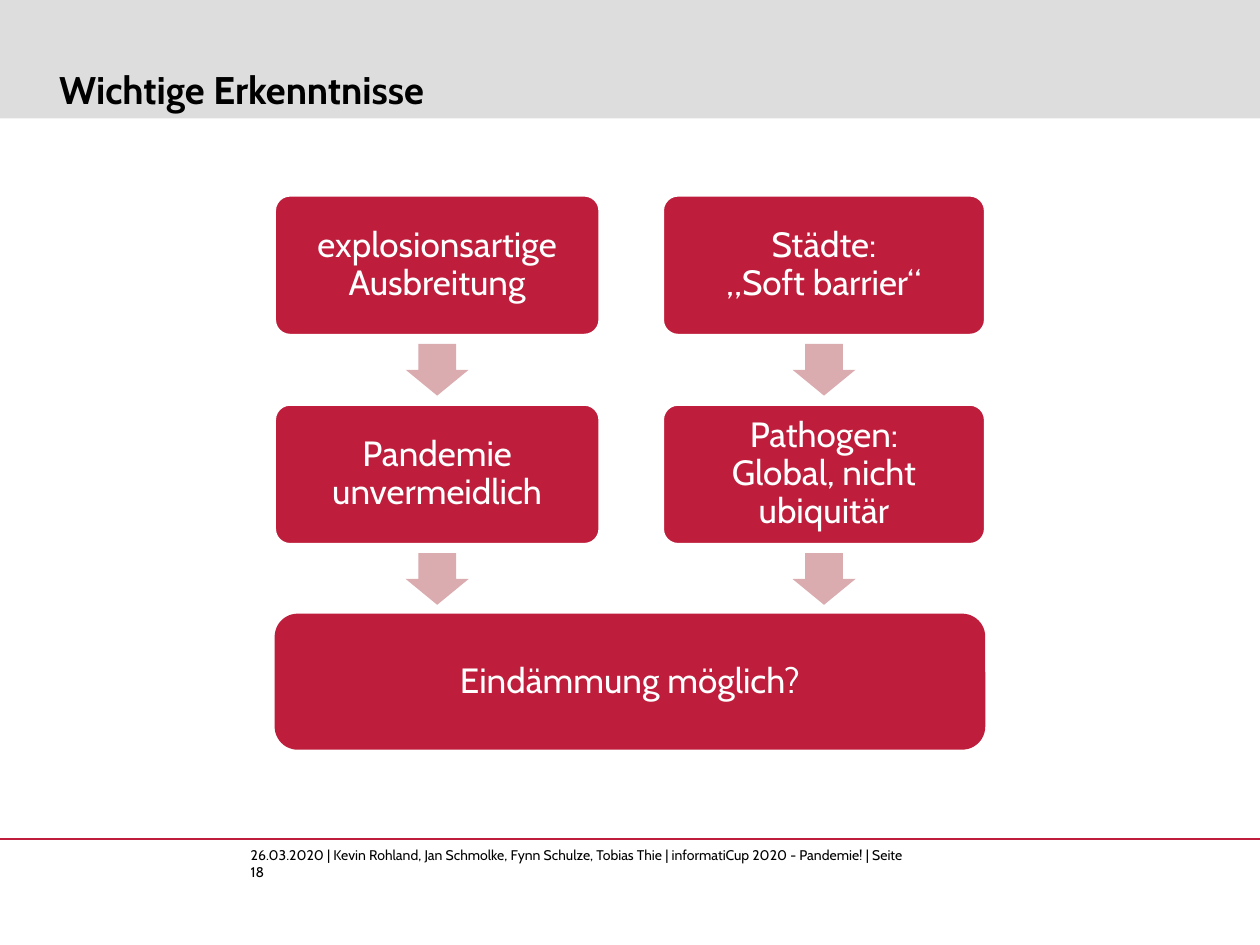
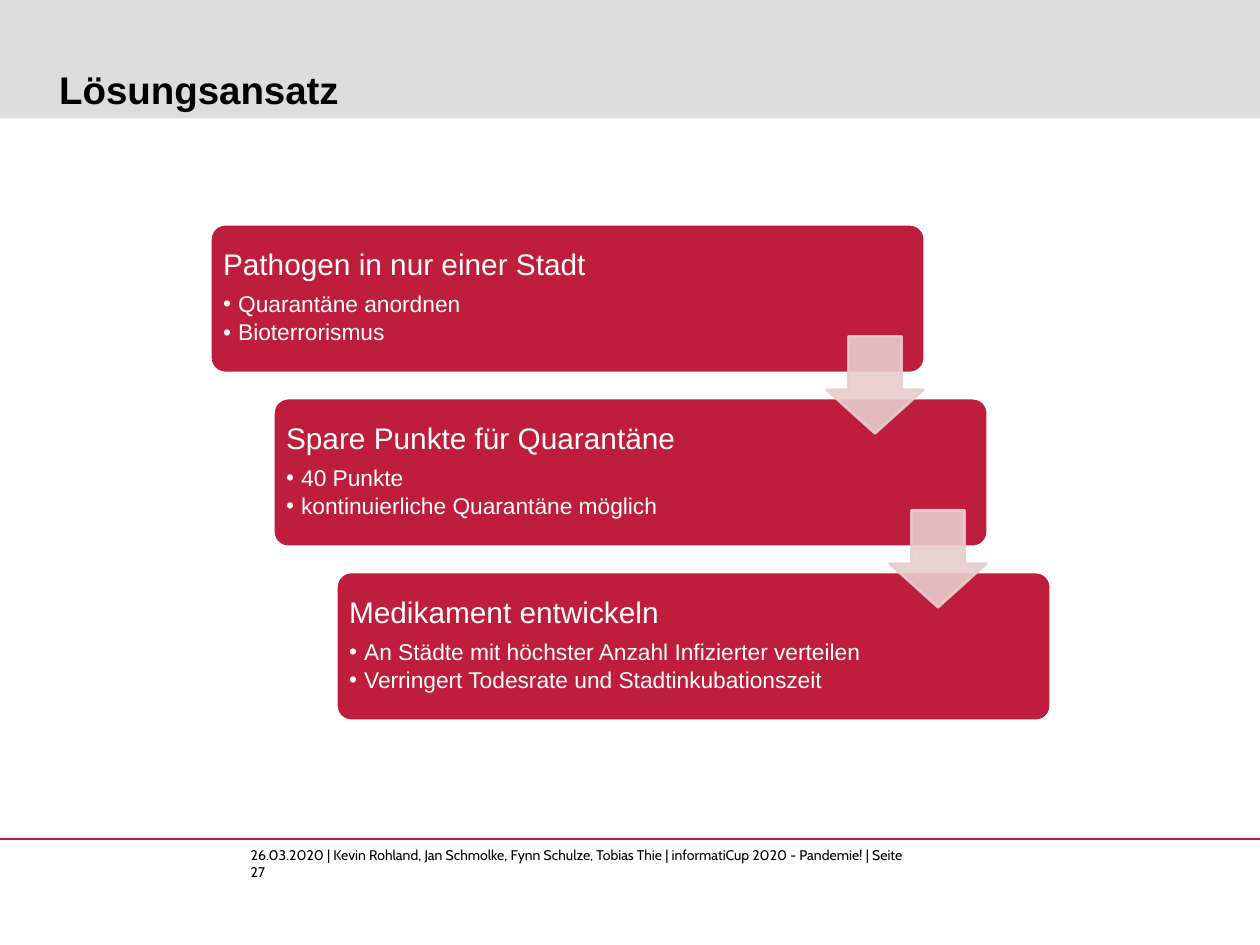
from dataclasses import dataclass

from lxml import etree
from pptx import Presentation
from pptx.dml.color import RGBColor
from pptx.enum.shapes import MSO_CONNECTOR as Connector
from pptx.enum.shapes import MSO_SHAPE as Preset
from pptx.enum.text import MSO_ANCHOR as Anchor
from pptx.enum.text import MSO_AUTO_SIZE as AutoSize
from pptx.enum.text import PP_ALIGN as Align
from pptx.oxml.ns import qn
from pptx.util import Inches, Pt

COLORS = {
    "red": "BE1E3C",
    "band": "DDDDDD",
    "arrow": "DBACAF",
    "step_arrow": "E8CDCE",
    "black": "000000",
    "white": "FFFFFF",
}
CABIN, ARIAL = "Cabin", "Arial"
FOOTER = ("26.03.2020 | Kevin Rohland, Jan Schmolke, Fynn Schulze, Tobias Thie"
          " | informatiCup 2020 - Pandemie! | Seite {}")


@dataclass
class Area:
    left: float
    top: float
    width: float
    height: float

    def lengths(self) -> tuple:
        return tuple(Inches(v) for v in (self.left, self.top, self.width, self.height))


@dataclass
class Chain:
    """A column of findings, read from top to bottom."""
    left: float
    width: float
    findings: tuple


@dataclass
class Step:
    heading: str
    points: tuple


CHAINS = (
    Chain(2.18, 2.58, ("explosionsartige\nAusbreitung", "Pandemie unvermeidlich")),
    Chain(5.26, 2.56, ("Städte:\n„Soft barrier“",
                       "Pathogen:\nGlobal, nicht ubiquitär")),
)
STEPS = (
    Step("Pathogen in nur einer Stadt", ("Quarantäne anordnen", "Bioterrorismus")),
    Step("Spare Punkte für Quarantäne",
         ("40 Punkte", "kontinuierliche Quarantäne möglich")),
    Step("Medikament entwickeln",
         ("An Städte mit höchster Anzahl Infizierter verteilen",
          "Verringert Todesrate und Stadtinkubationszeit")),
)


# Shared helpers
def rgb(name: str) -> RGBColor:
    return RGBColor.from_string(COLORS[name])


def add_preset(page, preset, area: Area, fill: str, line: str = "", adjust: tuple = ()):
    shape = page.shapes.add_shape(preset, *area.lengths())
    shape.shadow.inherit = False
    shape.fill.solid()
    shape.fill.fore_color.rgb = rgb(fill)
    if line:
        shape.line.color.rgb = rgb(line)
        shape.line.width = Pt(1.5)
    else:
        shape.line.fill.background()
    for index, value in enumerate(adjust):
        shape.adjustments[index] = value
    return shape


def set_frame(frame, inset: float, anchor) -> None:
    frame.word_wrap = True
    frame.auto_size = AutoSize.NONE
    frame.vertical_anchor = anchor
    frame.margin_left = frame.margin_right = Inches(inset)
    frame.margin_top = frame.margin_bottom = Inches(inset)


def write(para, text: str, size: float, font: str, color: str, bold: bool = False) -> None:
    para.text = text
    for span in para.runs:
        span.font.size = Pt(size)
        span.font.name = font
        span.font.bold = bold
        span.font.color.rgb = rgb(color)


def add_bullet(para) -> None:
    para.level = 1
    props = para._p.get_or_add_pPr()
    props.set("marL", str(Inches(0.12)))
    props.set("indent", str(-Inches(0.12)))
    etree.SubElement(props, qn("a:buFont"), typeface=ARIAL)
    etree.SubElement(props, qn("a:buChar"), char="•")


def set_opacity(shape, percent: int) -> None:
    for color in shape.element.spPr.iter(qn("a:srgbClr")):
        etree.SubElement(color, qn("a:alpha"), val=str(percent * 1000))


def add_page(deck, title: str, font: str, number: int):
    page = deck.slides.add_slide(deck.slide_layouts[5])
    # Title on its grey band
    heading = page.shapes.title
    heading.left, heading.top, heading.width, heading.height = (
        Area(0.47, 0.12, 9.16, 0.77).lengths())
    set_frame(heading.text_frame, 0, Anchor.BOTTOM)
    para = heading.text_frame.paragraphs[0]
    write(para, title, 22, font, "black", bold=True)
    para.alignment = Align.LEFT
    band = add_preset(page, Preset.RECTANGLE, Area(0, 0, 10, 0.94), "band")
    heading.element.addprevious(band.element)
    # Footer below its rule
    rule = page.shapes.add_connector(
        Connector.STRAIGHT, Inches(0), Inches(6.66), Inches(10), Inches(6.66))
    rule.line.color.rgb = rgb("red")
    rule.line.width = Pt(0.75)
    etree.SubElement(rule.element.spPr, qn("a:effectLst"))
    footer = page.shapes.add_textbox(*Area(1.99, 6.72, 5.24, 0.27).lengths())
    set_frame(footer.text_frame, 0, Anchor.TOP)
    write(footer.text_frame.paragraphs[0], FOOTER.format(number), 8, CABIN, "black")
    return page


# Findings slide
def add_finding(page, area: Area, text: str, line: str, corner: float):
    box = add_preset(page, Preset.ROUNDED_RECTANGLE, area, "red", line, (corner,))
    set_frame(box.text_frame, 0.1, Anchor.MIDDLE)
    para = box.text_frame.paragraphs[0]
    write(para, text, 20, CABIN, "white")
    para.alignment = Align.CENTER
    para.line_spacing = 0.9


def build_findings(deck) -> None:
    page = add_page(deck, "Wichtige Erkenntnisse", CABIN, 18)
    top, height, pitch = 1.55, 1.11, 1.66
    for chain in CHAINS:
        for row, text in enumerate(chain.findings):
            y = top + row * pitch
            add_finding(page, Area(chain.left, y, chain.width, height), text, "white", 0.11)
            arrow_left = chain.left + chain.width / 2 - 0.25
            add_preset(page, Preset.DOWN_ARROW, Area(arrow_left, y + 1.18, 0.5, 0.41),
                       "arrow", adjust=(0.6, 0.5))
    add_finding(page, Area(2.18, 4.87, 5.64, 1.08), "Eindämmung möglich?", "", 0.17)


# Solution slide
def add_step(page, step: Step, left: float, top: float) -> None:
    add_preset(page, Preset.ROUNDED_RECTANGLE, Area(left, top, 5.67, 1.18),
               "red", "white", (0.1,))
    label = page.shapes.add_textbox(*Area(left + 0.03, top + 0.03, 4.39, 1.11).lengths())
    frame = label.text_frame
    set_frame(frame, 0.07, Anchor.MIDDLE)
    heading = frame.paragraphs[0]
    write(heading, step.heading, 17, ARIAL, "white")
    heading.line_spacing = 0.9
    heading.space_after = Pt(6)
    for point in step.points:
        para = frame.add_paragraph()
        para.line_spacing = 0.9
        para.space_after = Pt(2.3)
        add_bullet(para)
        write(para, point, 13, ARIAL, "white")


def build_solution(deck) -> None:
    page = add_page(deck, "Lösungsansatz", ARIAL, 27)
    left, top, shift, pitch = 1.67, 1.78, 0.5, 1.38
    for index, step in enumerate(STEPS):
        add_step(page, step, left + index * shift, top + index * pitch)
    for index in range(len(STEPS) - 1):
        area = Area(6.56 + index * shift, 2.67 + index * pitch, 0.77, 0.77)
        arrow = add_preset(page, Preset.DOWN_ARROW, area, "step_arrow", "step_arrow",
                           (0.55, 0.55))
        arrow.adjustments[1] = 0.45
        set_opacity(arrow, 90)


def main() -> None:
    deck = Presentation()
    deck.slide_width, deck.slide_height = Inches(10), Inches(7.5)
    build_findings(deck)
    build_solution(deck)
    deck.save("out.pptx")


if __name__ == "__main__":
    main()
